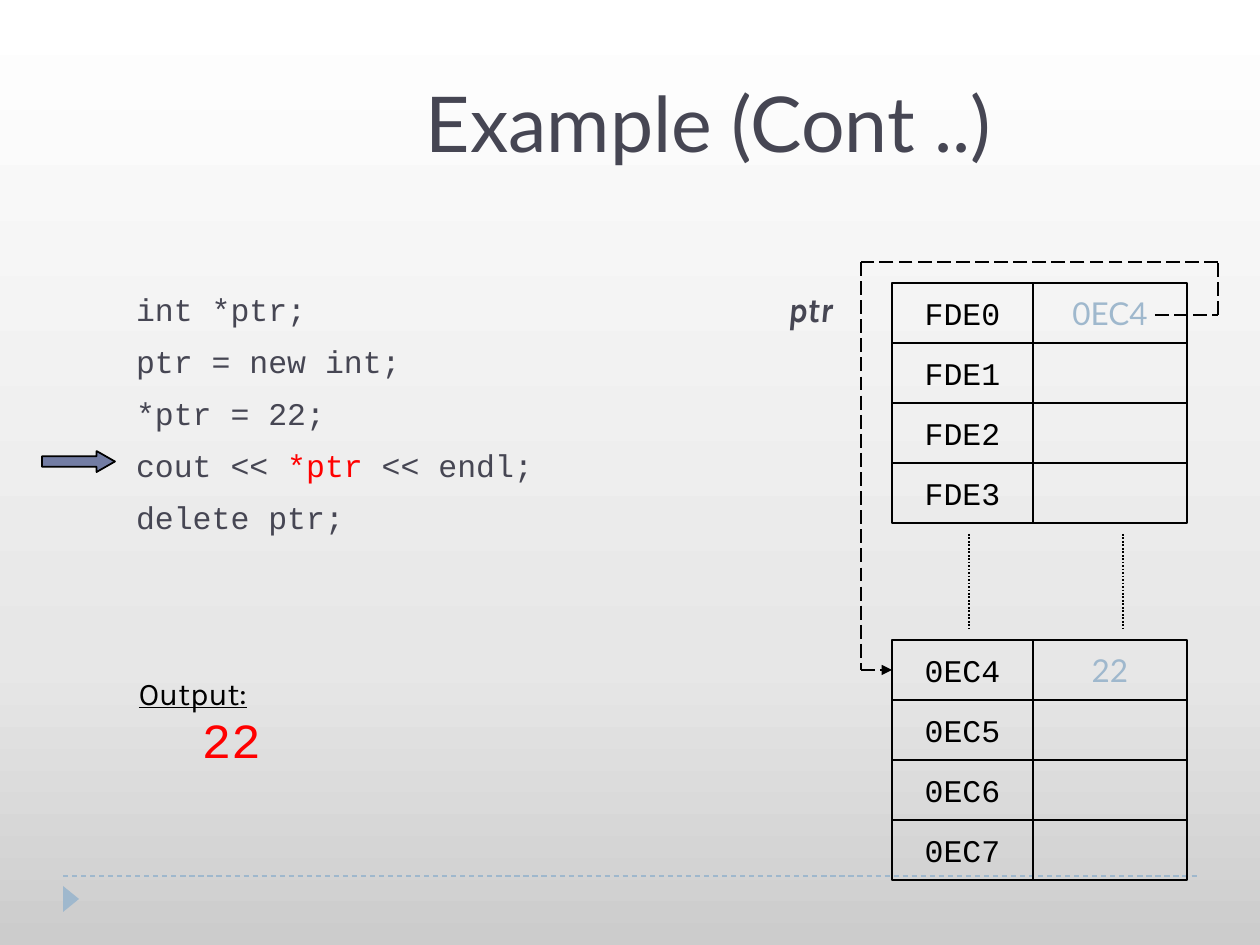
from copy import deepcopy
from dataclasses import dataclass
from itertools import pairwise

from lxml import etree
from pptx import Presentation
from pptx.dml.color import RGBColor
from pptx.enum.dml import MSO_LINE
from pptx.enum.shapes import MSO_CONNECTOR, MSO_SHAPE
from pptx.enum.text import MSO_ANCHOR, PP_ALIGN
from pptx.oxml.ns import qn
from pptx.util import Pt

EMU_PER_PX = 914400 / 126
STRAIGHT = MSO_CONNECTOR.STRAIGHT
RECTANGLE, TRIANGLE = MSO_SHAPE.RECTANGLE, MSO_SHAPE.ISOSCELES_TRIANGLE
RIGHT_ARROW = MSO_SHAPE.RIGHT_ARROW
DASH, LONG_DASH, DOTS = MSO_LINE.DASH, MSO_LINE.LONG_DASH, MSO_LINE.ROUND_DOT
MIDDLE, CENTER = MSO_ANCHOR.MIDDLE, PP_ALIGN.CENTER
LEFT_SIDE = 1


@dataclass(frozen=True)
class Theme:
    ink: str = "464653"
    black: str = "000000"
    red: str = "FF0000"
    value: str = "9FB8CD"
    marker: str = "727CA3"
    backdrop: tuple = ((0, "CCCCCC"), (0.3, "E7E7E7"), (1, "FFFFFF"))
    heading: str = "Lato"
    label: str = "Karla"
    code: str = "Courier New"
    title_size: int = 44
    output_size: int = 28
    label_size: int = 20
    body_size: int = 18


THEME = Theme()
ROW_HEIGHT = 60
ADDRESS_LEFT, ADDRESS_WIDTH = 892, 141
VALUE_LEFT, VALUE_WIDTH = 1033, 154


def px(*lengths):
    return [round(length * EMU_PER_PX) for length in lengths]


def rgb(color):
    return RGBColor.from_string(color)


def set_backdrop(slide):
    fill = slide.background.fill
    fill.gradient()
    fill.gradient_angle = 90
    stop_list = next(slide.element.iter(qn("a:gsLst")))
    stop_list.append(deepcopy(stop_list[0]))
    for stop, (position, color) in zip(fill.gradient_stops, THEME.backdrop):
        stop.position = position
        stop.color.rgb = rgb(color)


def add_run(paragraph, text, size, font, color, **styles):
    run = paragraph.add_run()
    run.text = text
    formats = {"size": Pt(size), "name": font, **styles}
    for name, value in formats.items():
        setattr(run.font, name, value)
    run.font.color.rgb = rgb(color)


def add_text(slide, box, paragraphs, side_inset=13, anchor=MSO_ANCHOR.TOP):
    """Each paragraph is a dict of paragraph formats and a list of run dicts."""
    frame = slide.shapes.add_textbox(*px(*box)).text_frame
    inset = px(side_inset)[0]
    formats = {"word_wrap": True, "margin_left": inset,
               "margin_right": inset, "vertical_anchor": anchor}
    for name, value in formats.items():
        setattr(frame, name, value)
    for index, (paragraph_formats, runs) in enumerate(paragraphs):
        paragraph = frame.add_paragraph() if index else frame.paragraphs[0]
        for name, value in paragraph_formats.items():
            setattr(paragraph, name, value)
        for run in runs:
            add_run(paragraph, **run)


def add_figure(slide, kind, box, fill=None, outlined=True):
    figure = slide.shapes.add_shape(kind, *px(*box))
    figure.shadow.inherit = False
    if fill:
        figure.fill.solid()
        figure.fill.fore_color.rgb = rgb(fill)
    else:
        figure.fill.background()
    if outlined:
        figure.line.color.rgb = rgb(THEME.black)
        figure.line.width = Pt(1)
    else:
        figure.line.fill.background()
    return figure


def add_cell(slide, box, text, font, color):
    cell = add_figure(slide, RECTANGLE, box)
    if text:
        frame = cell.text_frame
        frame.word_wrap = False
        frame.vertical_anchor = MIDDLE
        frame.paragraphs[0].alignment = CENTER
        add_run(frame.paragraphs[0], text, THEME.body_size, font, color)
    return cell


def add_memory(slide, top, addresses, first_value):
    """Stack address and value cells; return the first address cell."""
    address_cells = []
    for row, address in enumerate(addresses):
        y = top + row * ROW_HEIGHT
        add_cell(slide, (VALUE_LEFT, y, VALUE_WIDTH, ROW_HEIGHT),
                 "" if row else first_value, THEME.heading, THEME.value)
        address_cells.append(
            add_cell(slide, (ADDRESS_LEFT, y, ADDRESS_WIDTH, ROW_HEIGHT),
                     address, THEME.code, THEME.black))
    return address_cells[0]


def add_line(slide, start, end, dash, color=THEME.black, width=1):
    line = slide.shapes.add_connector(STRAIGHT, *px(*start, *end))
    line.line.color.rgb = rgb(color)
    line.line.width = Pt(width)
    line.line.dash_style = dash
    etree.SubElement(line.element.spPr, qn("a:effectLst"))
    return line


def add_pointer(slide, points, target):
    """Draw a dashed path whose last leg ends in an arrowhead at target."""
    legs = [add_line(slide, start, end, LONG_DASH)
            for start, end in pairwise(points)]
    legs[-1].end_connect(target, LEFT_SIDE)
    outline = legs[-1].element.spPr.find(qn("a:ln"))
    etree.SubElement(outline, qn("a:tailEnd"), type="triangle")


def add_code(slide):
    listing = [
        [("int *ptr;", THEME.ink)],
        [("ptr = new int;", THEME.ink)],
        [("*ptr = 22;", THEME.ink)],
        [("cout << ", THEME.ink), ("*ptr ", THEME.red), ("<< endl;", THEME.ink)],
        [("delete ptr;", THEME.ink)],
    ]
    paragraphs = [
        ({"line_spacing": 1.3, "space_before": Pt(1.6 if index else 3.6)},
         [dict(text=text, size=THEME.body_size, font=THEME.code, color=color)
          for text, color in line])
        for index, line in enumerate(listing)
    ]
    add_text(slide, (136, 273, 536, 368), paragraphs, side_inset=0)


def add_output(slide):
    caption = dict(text="Output:", size=THEME.body_size, font=THEME.label,
                   color=THEME.black, underline=True)
    result = dict(text="\t22", size=THEME.output_size, font=THEME.code,
                  color=THEME.red)
    add_text(slide, (126, 675, 305, 108), [
        ({"line_spacing": 0.8, "space_before": Pt(1.6)}, [caption]),
        ({"line_spacing": 0.8, "space_before": Pt(5.6)}, [result]),
    ])


def main():
    presentation = Presentation()
    presentation.slide_width, presentation.slide_height = px(1260, 945)
    slide = presentation.slides.add_slide(presentation.slide_layouts[6])
    set_backdrop(slide)

    add_line(slide, (63, 876), (1197, 876), DASH, THEME.value, 0.75)
    corner = add_figure(slide, TRIANGLE, (58, 891, 26, 16), THEME.value, False)
    corner.rotation = 90

    title = dict(text="Example (Cont ..)", size=THEME.title_size,
                 font=THEME.heading, color=THEME.ink)
    add_text(slide, (252, 44, 914, 155), [({"alignment": CENTER}, [title])],
             anchor=MIDDLE)
    add_code(slide)
    current_line = add_figure(slide, RIGHT_ARROW, (42, 451, 73, 21), THEME.marker)
    current_line.adjustments[1] = 0.875

    add_memory(slide, 283, ["FDE0", "FDE1", "FDE2", "FDE3"], "0EC4")
    target = add_memory(slide, 640, ["0EC4", "0EC5", "0EC6", "0EC7"], "22")
    for x in (969, 1123):
        add_line(slide, (x, 534), (x, 630), DOTS)

    variable = dict(text="ptr", size=THEME.label_size, font=THEME.label,
                    color=THEME.ink, bold=True, italic=True)
    add_text(slide, (788, 281, 94, 54), [({"space_before": Pt(2)}, [variable])],
             side_inset=0)
    add_pointer(slide, [(1155, 315), (1218, 315), (1218, 262), (861, 262),
                        (861, 670), (892, 670)], target)
    add_output(slide)
    presentation.save("out.pptx")


if __name__ == "__main__":
    main()
